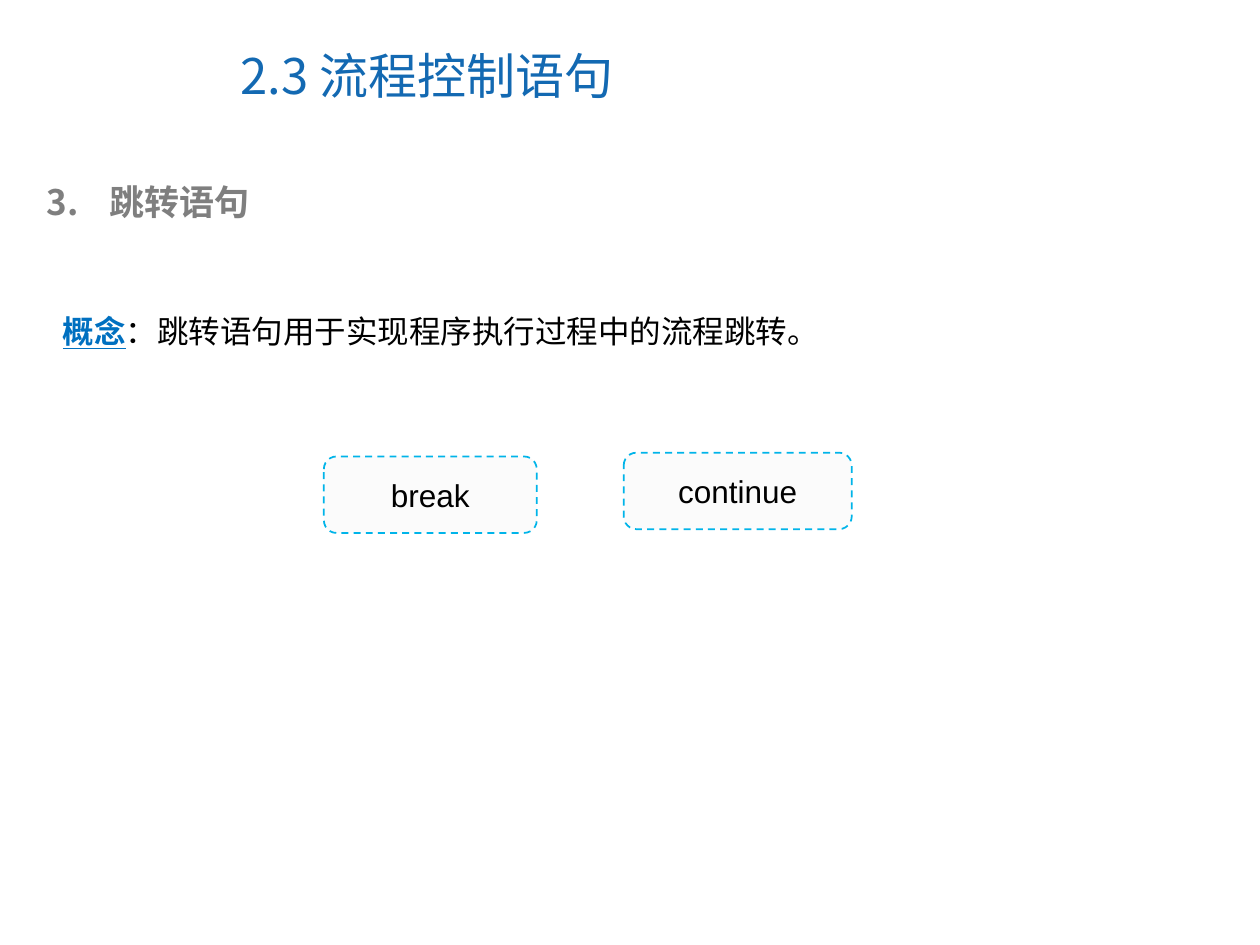
from lxml import etree
from pptx import Presentation
from pptx import util as u
from pptx.dml.color import RGBColor
from pptx.enum import dml, shapes, text
from pptx.oxml import ns

CJK = "Noto Sans CJK SC"

prs = Presentation()
prs.slide_width, prs.slide_height = u.Inches(10), u.Inches(7.5)
W, H = prs.slide_width, prs.slide_height
s = prs.slides.add_slide(prs.slide_layouts[5])


def box(x, y, w, h):
    """Turn shares of the slide's size into left, top, width, height."""
    return int(x * W), int(y * H), int(w * W), int(h * H)


def add_run(p, content, size=18, color="000000", font="Arial", bold=False, underline=False):
    r = p.add_run()
    r.text = content
    r.font.size = u.Pt(size)
    r.font.bold = bold
    r.font.underline = underline
    r.font.color.rgb = RGBColor.from_string(color)
    r.font.name = font
    etree.SubElement(r.font._element, ns.qn("a:ea"), typeface=CJK)


# Title
sp = s.shapes.title
sp.left, sp.top, sp.width, sp.height = box(0.181, 0.023, 0.516, 0.113)
tf = sp.text_frame
tf.vertical_anchor = text.MSO_ANCHOR.MIDDLE
p = tf.paragraphs[0]
p.alignment = text.PP_ALIGN.LEFT
add_run(p, "2.3 流程控制语句", size=28, color="1369B2", font=CJK)

# Numbered section heading
tf = s.shapes.add_textbox(*box(0.027, 0.185, 0.922, 0.059)).text_frame
tf.word_wrap = True
p = tf.paragraphs[0]
pPr = p._p.get_or_add_pPr()
pPr.set("marL", str(u.Inches(0.5)))
pPr.set("indent", str(-u.Inches(0.5)))
buClr = etree.SubElement(pPr, ns.qn("a:buClr"))
etree.SubElement(buClr, ns.qn("a:srgbClr"), val="7F7F7F")
etree.SubElement(pPr, ns.qn("a:buFont"), typeface=CJK)
etree.SubElement(pPr, ns.qn("a:buAutoNum"), type="arabicPeriod", startAt="3")
add_run(p, "跳转语句", size=20, color="7F7F7F", font=CJK, bold=True)

# Definition
tf = s.shapes.add_textbox(*box(0.04, 0.284, 0.919, 0.093)).text_frame
tf.word_wrap = True
p = tf.paragraphs[0]
p.line_spacing = 2.0
add_run(p, "概念", color="0070C0", bold=True, underline=True)
add_run(p, "：跳转语句用于实现程序执行过程中的流程跳转。")

# Jump statements
for keyword, x, y, w in [("break", 0.257, 0.483, 0.169), ("continue", 0.495, 0.479, 0.181)]:
    sp = s.shapes.add_shape(shapes.MSO_SHAPE.ROUNDED_RECTANGLE, *box(x, y, w, 0.081))
    sp.shadow.inherit = False
    sp.fill.solid()
    sp.fill.fore_color.rgb = RGBColor.from_string("FBFBFB")
    sp.line.color.rgb = RGBColor.from_string("00B4E9")
    sp.line.width = u.Pt(1)
    sp.line.dash_style = dml.MSO_LINE.DASH
    tf = sp.text_frame
    tf.vertical_anchor = text.MSO_ANCHOR.MIDDLE
    p = tf.paragraphs[0]
    p.alignment = text.PP_ALIGN.CENTER
    add_run(p, keyword)

prs.save("out.pptx")
